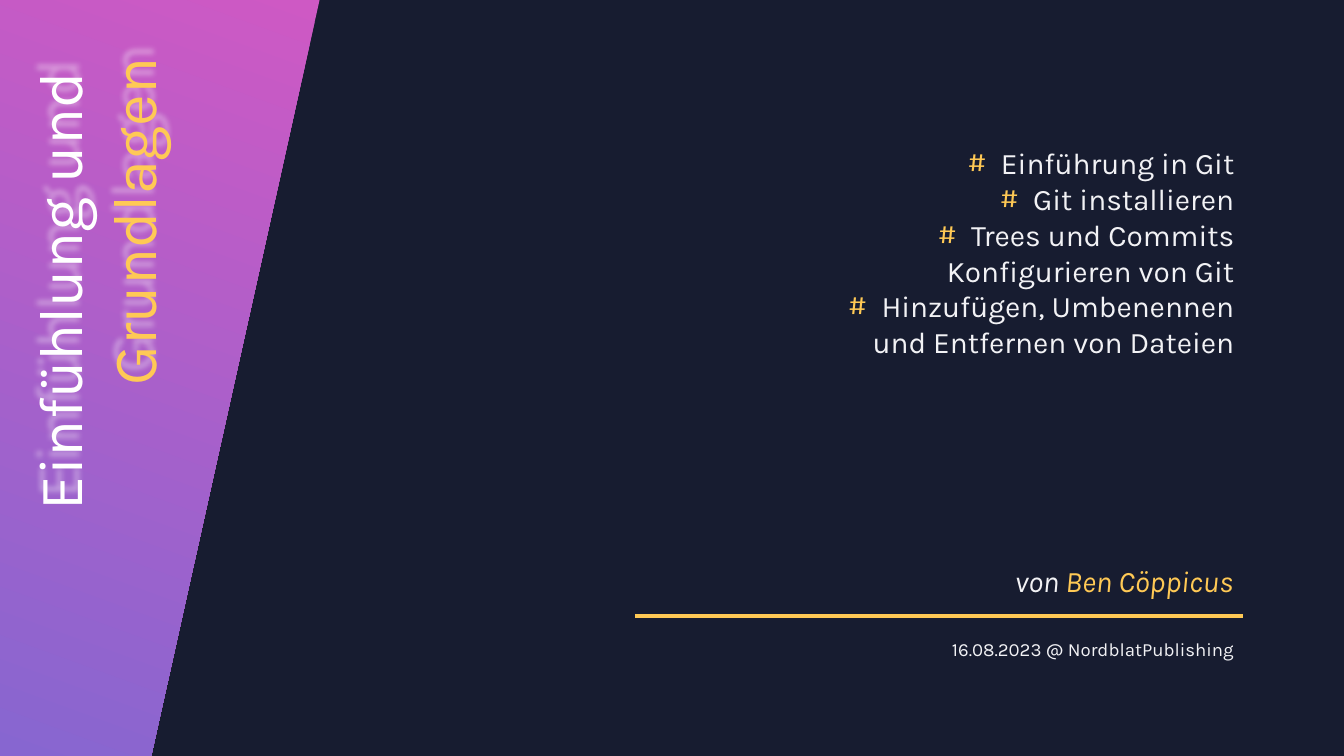
import pptx
import pptx.dml.color
import pptx.enum.shapes
import pptx.enum.text
import pptx.oxml
import pptx.oxml.ns
import pptx.util
from dataclasses import dataclass

Inches = pptx.util.Inches
Pt = pptx.util.Pt
NS = pptx.oxml.ns.nsdecls("a")


@dataclass(frozen=True)
class Theme:
    font: str = "Karla"
    night: str = "171C30"
    pink: str = "CE59C4"
    violet: str = "8766D0"
    gold: str = "FFC955"
    white: str = "FFFFFF"
    pale: str = "F2F2F5"
    title_size: float = 44
    body_size: float = 21.3
    footer_size: float = 13.3


def rgb(code):
    return pptx.dml.color.RGBColor.from_string(code)


class SlideBuilder:
    def __init__(self, slide, theme):
        self.slide = slide
        self.theme = theme

    def background(self, color):
        fill = self.slide.background.fill
        fill.solid()
        fill.fore_color.rgb = rgb(color)

    def gradient_panel(self, corners, colors, angle):
        """Draw a closed outline; the angle runs counter-clockwise."""
        points = [(Inches(x), Inches(y)) for x, y in corners]
        builder = self.slide.shapes.build_freeform(*points[0])
        builder.add_line_segments(points[1:], close=True)
        panel = builder.convert_to_shape()
        panel.shadow.inherit = False
        panel.line.fill.background()
        panel.fill.gradient()
        panel.fill.gradient_angle = angle
        for stop, color in zip(panel.fill.gradient_stops, colors):
            stop.color.rgb = rgb(color)

    def text(self, left, top, width, height, paragraphs, size, italic=False):
        """Add right-aligned text; a paragraph is a list of (words, color)."""
        box = self.slide.shapes.add_textbox(
            Inches(left), Inches(top), Inches(width), Inches(height))
        frame = box.text_frame
        frame.word_wrap = True
        frame.auto_size = pptx.enum.text.MSO_AUTO_SIZE.SHAPE_TO_FIT_TEXT
        for index, pieces in enumerate(paragraphs):
            paragraph = frame.add_paragraph() if index else frame.paragraphs[0]
            paragraph.alignment = pptx.enum.text.PP_ALIGN.RIGHT
            for words, color in pieces:
                run = paragraph.add_run()
                run.text = words
                run.font.name = self.theme.font
                run.font.size = Pt(size)
                run.font.italic = italic
                run.font.color.rgb = rgb(color)
        return box

    def bullets(self, box, mark, color, indent):
        for paragraph in box.text_frame.paragraphs:
            properties = paragraph._p.get_or_add_pPr()
            properties.set("marL", str(Inches(indent)))
            properties.set("indent", str(-Inches(indent)))
            for xml in (
                f'<a:buClr {NS}><a:srgbClr val="{color}"/></a:buClr>',
                f'<a:buFont {NS} typeface="{self.theme.font}"/>',
                f'<a:buChar {NS} char="{mark}"/>',
            ):
                properties.append(pptx.oxml.parse_xml(xml))

    def soft_shadow(self, box, color, blur, distance, degrees, opacity):
        box._element.spPr.append(pptx.oxml.parse_xml(
            f'<a:effectLst {NS}><a:outerShdw blurRad="{Pt(blur)}" '
            f'dist="{Pt(distance)}" dir="{degrees * 60000}" algn="ctr" '
            f'rotWithShape="0"><a:srgbClr val="{color}">'
            f'<a:alpha val="{opacity * 1000}"/></a:srgbClr>'
            f'</a:outerShdw></a:effectLst>'))

    def rule(self, left, right, y, color, weight):
        line = self.slide.shapes.add_connector(
            pptx.enum.shapes.MSO_CONNECTOR.STRAIGHT,
            Inches(left), Inches(y), Inches(right), Inches(y))
        line.line.color.rgb = rgb(color)
        line.line.width = Pt(weight)
        line._element.spPr.append(
            pptx.oxml.parse_xml(f"<a:effectLst {NS}/>"))


def main():
    theme = Theme()
    deck = pptx.Presentation()
    deck.slide_width, deck.slide_height = Inches(13.33), Inches(7.5)
    page = SlideBuilder(deck.slides.add_slide(deck.slide_layouts[6]), theme)

    page.background(theme.night)
    page.gradient_panel([(0, 0), (3.17, 0), (1.5, 7.5), (0, 7.5)],
                        (theme.pink, theme.violet), 250)

    title = page.text(
        -2.33, 2.96, 6.56, 1.58,
        [[("Einfühlung und ", theme.white)], [("Grundlagen", theme.gold)]],
        theme.title_size)
    title.rotation = 270
    page.soft_shadow(title, theme.white, blur=4, distance=9.7,
                     degrees=253, opacity=40)

    topics = ("Einführung in Git", "Git installieren",
              "Trees und Commits Konfigurieren von Git",
              "Hinzufügen, Umbenennen und Entfernen von Dateien")
    agenda = page.text(8.17, 1.39, 4.17, 2.25,
                       [[(topic, theme.pale)] for topic in topics],
                       theme.body_size)
    page.bullets(agenda, "#", theme.gold, 0.33)

    page.rule(6.3, 12.33, 6.11, theme.gold, 3)
    page.text(7.89, 5.53, 4.44, 0.46,
              [[("von ", theme.pale), ("Ben Cöppicus", theme.gold)]],
              theme.body_size, italic=True)
    page.text(7.28, 6.28, 5.06, 0.33,
              [[("16.08.2023 @ NordblatPublishing", theme.pale)]],
              theme.footer_size)

    deck.save("out.pptx")


if __name__ == "__main__":
    main()
